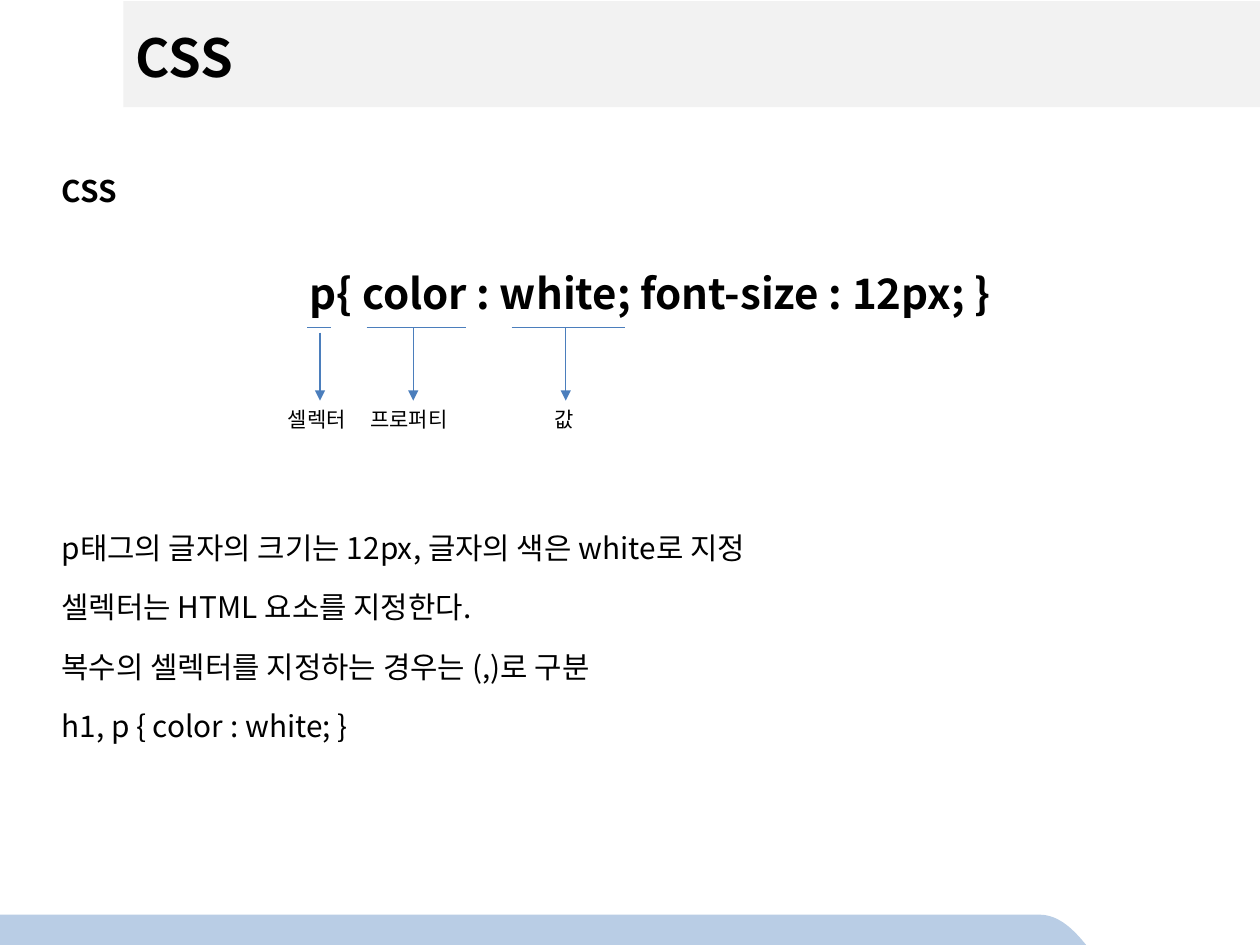
"""Build a slide that explains the parts of a CSS rule."""
import lxml.etree
import pptx
import pptx.dml.color
import pptx.enum.shapes
import pptx.enum.text
import pptx.oxml.ns
import pptx.util

COLUMNS, ROWS = 100, 75
CELL = pptx.util.Inches(0.1)

THEME = {
    "font": "Noto Sans CJK KR",
    "text": "000000", "band": "F2F2F2", "wave": "B9CDE5", "line": "4B7EBC",
    "title": 30, "code": 24, "body": 17, "label": 12,
    "title_line": 40, "body_line": 34, "rule": 0.75,
}

TITLE = "CSS"
HEADING = "CSS"
CODE = "p{ color : white; font-size : 12px; }"
NOTES = [
    "p태그의 글자의 크기는 12px, 글자의 색은 white로 지정",
    "셀렉터는 HTML 요소를 지정한다.",
    "복수의 셀렉터를 지정하는 경우는 (,)로 구분",
    "h1, p { color : white; }",
]
BLANK_LINES = 5

TITLE_AREA = (9.8, 0.1, 87.4, 8.3)
BAND_AREA = (9.8, 0.1, 90.2, 8.4)
BODY_AREA = (3.9, 1.15 * 10, 92.1, 57.5)
CODE_AREA = (5, 20.2, 93.2, 6.3)
UNDERLINE_ROW, LABEL_ROW, LABEL_HEIGHT = 26, 31.8, 3
PARTS = [
    {"label": "셀렉터", "underline": (24.4, 26.3), "centre": 25.4, "width": 7.1, "start": 26.4},
    {"label": "프로퍼티", "underline": (29.1, 37), "centre": 32.8, "width": 8.8, "start": 26},
    {"label": "값", "underline": (40.6, 49.6), "centre": 44.9, "width": 3.7, "start": 26},
]
WAVE_TOP = 72.6
WAVE_CURVE = [(86.2, ROWS), (85.3, 73.9), (84.1, WAVE_TOP), (82.5, WAVE_TOP)]
CURVE_STEPS = 16


def grid(*cells):
    return [pptx.util.Emu(round(cell * CELL)) for cell in cells]


def color(name):
    return pptx.dml.color.RGBColor.from_string(THEME[name])


def paint(shape, name):
    shape.shadow.inherit = False
    shape.fill.solid()
    shape.fill.fore_color.rgb = color(name)
    shape.line.fill.background()


def add_text(page, lines, area, *, size, bold=False, line=None, align="LEFT",
             anchor="TOP", wrap=True, inset=(0.1, 0.05)):
    box = page.shapes.add_textbox(*grid(*area))
    frame = box.text_frame
    frame.word_wrap = wrap
    if not wrap:
        frame.auto_size = pptx.enum.text.MSO_AUTO_SIZE.SHAPE_TO_FIT_TEXT
    frame.margin_left = frame.margin_right = pptx.util.Inches(inset[0])
    frame.margin_top = frame.margin_bottom = pptx.util.Inches(inset[1])
    frame.vertical_anchor = getattr(pptx.enum.text.MSO_ANCHOR, anchor)
    for index, words in enumerate(lines):
        para = frame.paragraphs[0] if index == 0 else frame.add_paragraph()
        para.alignment = getattr(pptx.enum.text.PP_ALIGN, align)
        para.line_spacing = pptx.util.Pt(line or THEME[size] * 1.2)
        span = para.add_run()
        span.text = words
        span.font.name = THEME["font"]
        span.font.size = pptx.util.Pt(THEME[size])
        span.font.bold = bold
        span.font.color.rgb = color("text")
        east = lxml.etree.SubElement(span.font._element, pptx.oxml.ns.qn("a:ea"))
        east.set("typeface", THEME["font"])
    return box


def add_line(page, start, end, arrow=False):
    connector = page.shapes.add_connector(
        pptx.enum.shapes.MSO_CONNECTOR.STRAIGHT, *grid(*start, *end))
    connector.line.color.rgb = color("line")
    connector.line.width = pptx.util.Pt(THEME["rule"])
    if arrow:
        outline = connector.line._get_or_add_ln()
        tail = lxml.etree.SubElement(outline, pptx.oxml.ns.qn("a:tailEnd"))
        tail.set("type", "triangle")
    lxml.etree.SubElement(connector._element.spPr, pptx.oxml.ns.qn("a:effectLst"))
    return connector


def curve_point(share):
    rest = 1 - share
    weights = (rest ** 3, 3 * rest ** 2 * share, 3 * rest * share ** 2, share ** 3)
    return [sum(weight * point[axis] for weight, point in zip(weights, WAVE_CURVE))
            for axis in (0, 1)]


def add_wave(page):
    curve = [curve_point(step / CURVE_STEPS) for step in range(CURVE_STEPS + 1)]
    builder = page.shapes.build_freeform(*grid(0, ROWS))
    builder.add_line_segments([grid(*point) for point in curve + [(0, WAVE_TOP)]])
    paint(builder.convert_to_shape(), "wave")


def add_part(page, part):
    left, right = part["underline"]
    add_line(page, (left, UNDERLINE_ROW), (right, UNDERLINE_ROW))
    centre, width = part["centre"], part["width"]
    label = add_text(page, [part["label"]],
                     (centre - width / 2, LABEL_ROW, width, LABEL_HEIGHT),
                     size="label", wrap=False)
    arrow = add_line(page, (centre, part["start"]), (centre, LABEL_ROW), arrow=True)
    arrow.end_connect(label, 0)


def main():
    deck = pptx.Presentation()
    deck.slide_width, deck.slide_height = grid(COLUMNS, ROWS)
    page = deck.slides.add_slide(deck.slide_layouts[6])
    band = page.shapes.add_shape(pptx.enum.shapes.MSO_SHAPE.RECTANGLE, *grid(*BAND_AREA))
    paint(band, "band")
    add_wave(page)
    add_text(page, [TITLE], TITLE_AREA, size="title", bold=True,
             line=THEME["title_line"], anchor="MIDDLE")
    body = add_text(page, [HEADING] + NOTES, BODY_AREA, size="body",
                    line=THEME["body_line"], inset=(0.1, 0.03))
    heading, first_note = body.text_frame.paragraphs[:2]
    heading.runs[0].font.bold = True
    first_note.space_before = pptx.util.Pt(BLANK_LINES * THEME["body_line"])
    add_text(page, [CODE], CODE_AREA, size="code", bold=True, align="CENTER",
             inset=(0.1, 0.1))
    for part in PARTS:
        add_part(page, part)
    deck.save("out.pptx")


if __name__ == "__main__":
    main()
